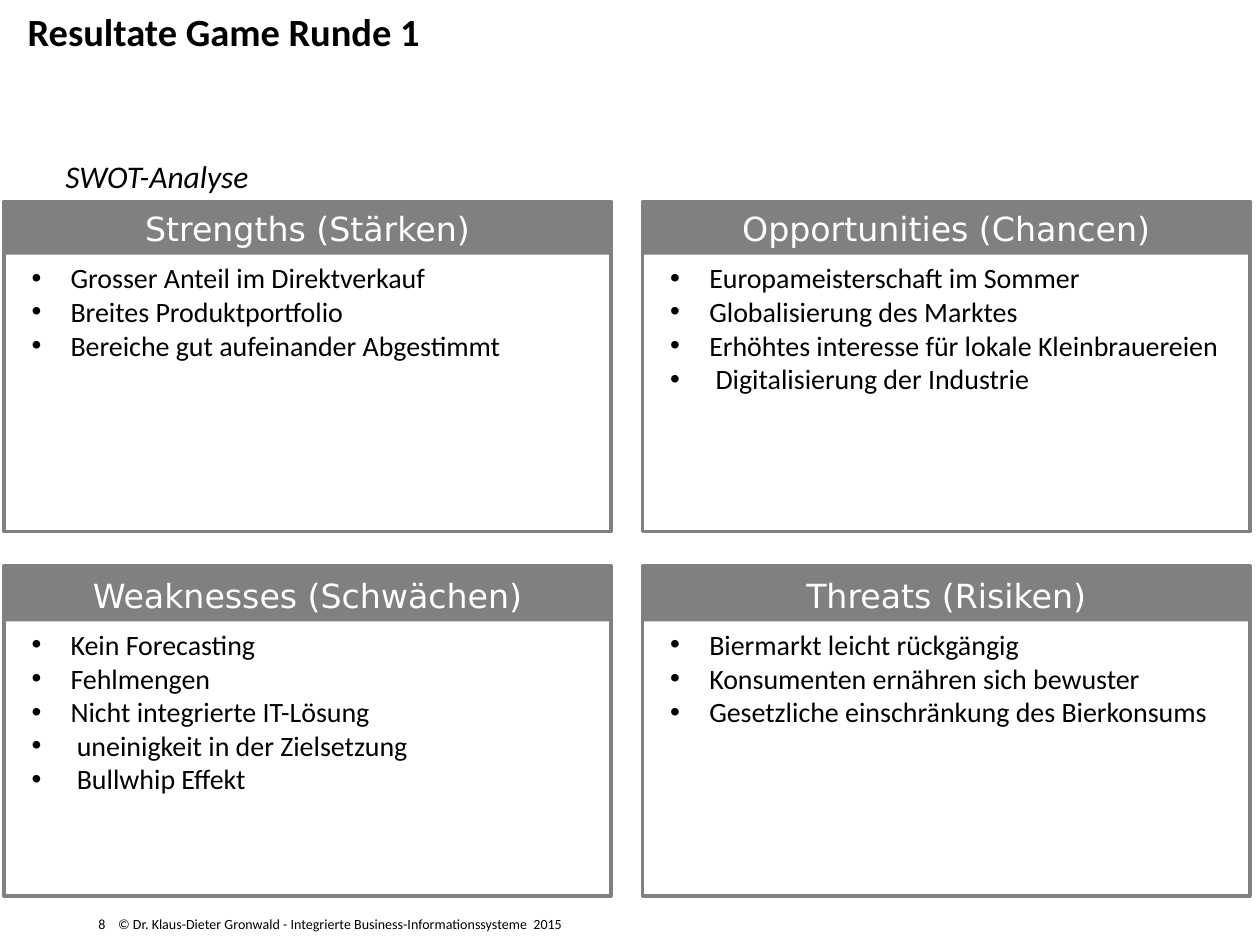
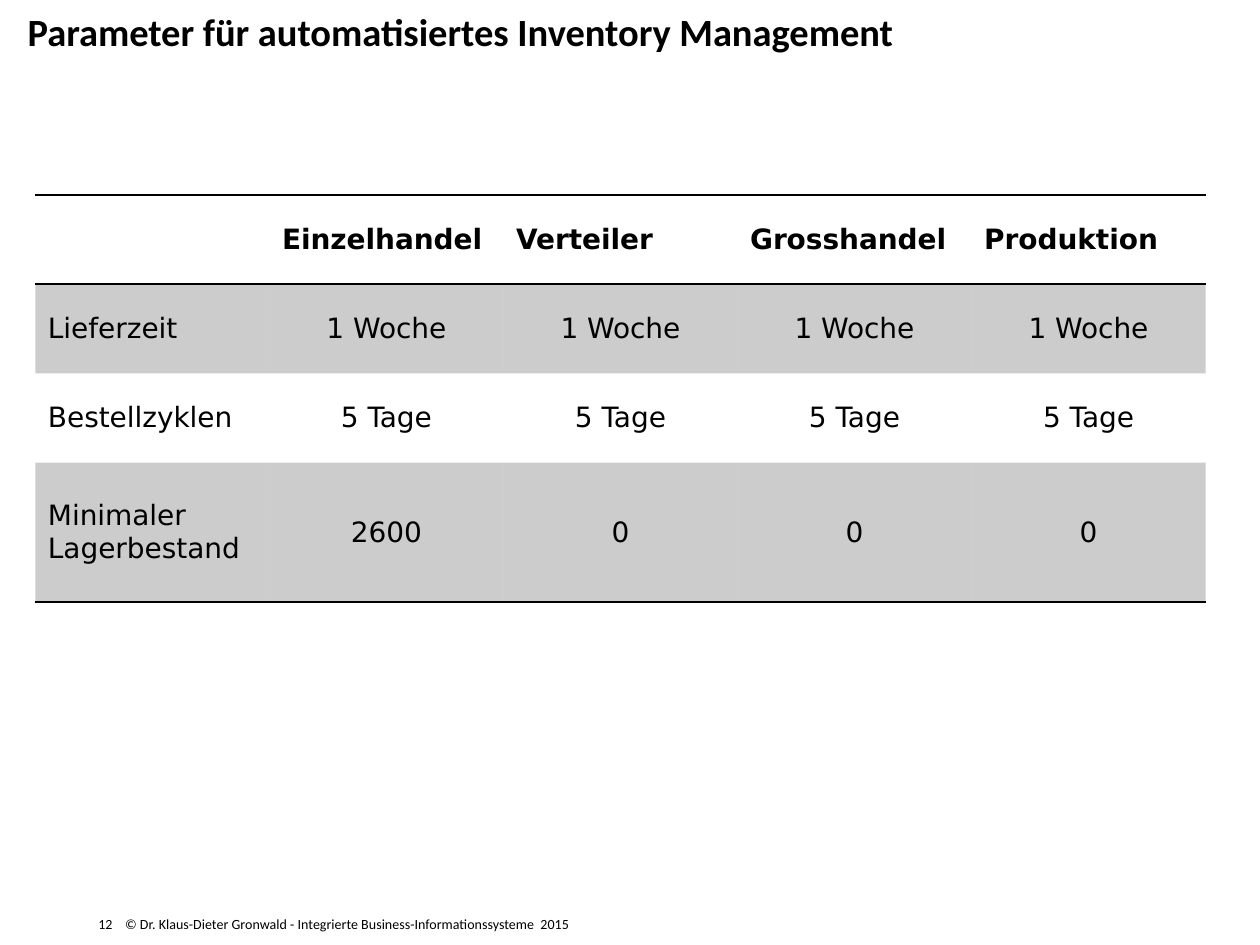
import pptx
import pptx.util
import pptx.dml.color
import pptx.enum.shapes
import pptx.enum.text
import pptx.oxml.ns
import lxml.etree
from dataclasses import dataclass

Pt = pptx.util.Pt
RGB = pptx.dml.color.RGBColor.from_string
qn = pptx.oxml.ns.qn
Align = pptx.enum.text.PP_ALIGN
Anchor = pptx.enum.text.MSO_ANCHOR
RECT = pptx.enum.shapes.MSO_SHAPE.RECTANGLE

CREDIT = "© Dr. Klaus-Dieter Gronwald - Integrierte Business-Informationssysteme  2015"
SWOT = {
    "page": 8,
    "title": "Resultate Game Runde 1",
    "lead": "SWOT-Analyse",
    "parts": [
        ("Strengths (Stärken)", [
            "Grosser Anteil im Direktverkauf",
            "Breites Produktportfolio",
            "Bereiche gut aufeinander Abgestimmt"]),
        ("Opportunities (Chancen)", [
            "Europameisterschaft im Sommer",
            "Globalisierung des Marktes",
            "Erhöhtes interesse für lokale Kleinbrauereien",
            " Digitalisierung der Industrie"]),
        ("Weaknesses (Schwächen)", [
            "Kein Forecasting",
            "Fehlmengen",
            "Nicht integrierte IT-Lösung",
            " uneinigkeit in der Zielsetzung",
            " Bullwhip Effekt"]),
        ("Threats (Risiken)", [
            "Biermarkt leicht rückgängig",
            "Konsumenten ernähren sich bewuster",
            "Gesetzliche einschränkung des Bierkonsums"]),
    ],
}
STOCK = {
    "page": 12,
    "title": "Parameter für automatisiertes Inventory Management",
    "rows": [
        ["", "Einzelhandel", "Verteiler", "Grosshandel", "Produktion"],
        ["Lieferzeit"] + ["1 Woche"] * 4,
        ["Bestellzyklen"] + ["5 Tage"] * 4,
        ["Minimaler Lagerbestand", "2600", "0", "0", "0"],
    ],
    "heights": [51, 51, 51, 79.7],
}


@dataclass(frozen=True)
class Theme:
    ink: str = "000000"
    paper: str = "FFFFFF"
    grey: str = "808080"
    sans: str = "Calibri"
    wide: str = "DejaVu Sans"
    title: int = 22
    head: int = 19
    lead: int = 18
    body: int = 16
    foot: int = 8
    tint: int = 20
    plain: str = "{2D5ABB26-0587-4C30-8999-92F81FD0307C}"


T = Theme()


def style(frame, size, face=T.sans, color=T.ink, bold=False, italic=False, align=Align.LEFT):
    for para in frame.paragraphs:
        para.alignment = align
        for run in para.runs:
            font = run.font
            font.size, font.name = Pt(size), face
            font.bold, font.italic = bold, italic
            font.color.rgb = RGB(color)


def label(slide, box, text, size, **look):
    frame = slide.shapes.add_textbox(*map(Pt, box)).text_frame
    frame.word_wrap = True
    frame.text = text
    style(frame, size, **look)
    return frame


def indent(para, left, first=0):
    props = para._p.get_or_add_pPr()
    props.set("marL", str(Pt(left)))
    props.set("indent", str(Pt(first)))
    return props


def start(deck, page, title):
    slide = deck.slides.add_slide(deck.slide_layouts[5])
    head = slide.shapes.title
    head.left, head.top, head.width, head.height = map(Pt, (8.6, 0.7, 521.3, 68.4))
    frame = head.text_frame
    frame.text = title
    frame.word_wrap = True
    frame.auto_size = pptx.enum.text.MSO_AUTO_SIZE.NONE
    frame.vertical_anchor = Anchor.TOP
    style(frame, T.title, bold=True)

    foot = label(slide, (50.4, 518.4, 383, 21.6), f"{page}\t{CREDIT}", T.foot)
    foot.margin_left = foot.margin_right = foot.margin_top = foot.margin_bottom = Pt(5.8)
    tabs = lxml.etree.SubElement(foot.paragraphs[0]._p.get_or_add_pPr(), qn("a:tabLst"))
    stop = Pt(7.2 + 4.06 * len(str(page)))
    lxml.etree.SubElement(tabs, qn("a:tab"), pos=str(stop), algn="l")
    return slide


def panel(slide, box, fill=None, line=None):
    shape = slide.shapes.add_shape(RECT, *map(Pt, box))
    shape.shadow.inherit = False
    if fill:
        shape.fill.solid()
        shape.fill.fore_color.rgb = RGB(fill)
    else:
        shape.fill.background()
    if line:
        shape.line.color.rgb = RGB(line)
        shape.line.width = Pt(2)
    else:
        shape.line.fill.background()
    return shape


def swot(deck):
    slide = start(deck, SWOT["page"], SWOT["title"])
    lead = label(slide, (2.2, 86.4, 712, 28), SWOT["lead"], T.lead, italic=True).paragraphs[0]
    lead.space_after = Pt(6)
    indent(lead, 28.1)

    wide, high, band = 347, 188.6, 30.4
    for pos, (name, points) in enumerate(SWOT["parts"]):
        row, col = divmod(pos, 2)
        left, top = 2.2 + col * 365, 115.2 + row * 208.1
        bar = top + row * 1.4
        panel(slide, (left, top, wide, high), line=T.grey)
        frame = panel(slide, (left, bar, wide, band), fill=T.grey).text_frame
        frame.text = name
        style(frame, T.head, T.wide, T.paper, align=Align.CENTER)
        box = (left, bar + band, wide, 7.2 + 19.5 * len(points))
        for para in label(slide, box, "\n".join(points), T.body).paragraphs:
            props = indent(para, 31, -22.3)
            lxml.etree.SubElement(props, qn("a:buFont"), typeface="Arial")
            lxml.etree.SubElement(props, qn("a:buChar"), char="•")


def edge(cell, side):
    line = lxml.etree.SubElement(cell._tc.get_or_add_tcPr(), qn("a:" + side), w=str(Pt(1)))
    fill = lxml.etree.SubElement(line, qn("a:solidFill"))
    lxml.etree.SubElement(fill, qn("a:srgbClr"), val=T.ink)


def shade(cell):
    cell.fill.solid()
    cell.fill.fore_color.rgb = RGB(T.ink)
    color = cell._tc.tcPr.find(qn("a:solidFill")).find(qn("a:srgbClr"))
    lxml.etree.SubElement(color, qn("a:alpha"), val=str(T.tint * 1000))


def stock(deck):
    slide = start(deck, STOCK["page"], STOCK["title"])
    rows, highs = STOCK["rows"], STOCK["heights"]
    box = map(Pt, (20.2, 111.4, 668.8, sum(highs)))
    table = slide.shapes.add_table(len(rows), len(rows[0]), *box).table
    table.first_row = table.horz_banding = False
    table._tbl.tblPr.find(qn("a:tableStyleId")).text = T.plain
    for r, (texts, high) in enumerate(zip(rows, highs)):
        table.rows[r].height = Pt(high)
        for c, text in enumerate(texts):
            cell = table.cell(r, c)
            cell.text = text
            cell.vertical_anchor = Anchor.MIDDLE
            align = Align.CENTER if r and c else Align.LEFT
            style(cell.text_frame, T.body, T.wide, bold=r == 0, align=align)
            if r == 0:
                edge(cell, "lnT")
            if r in (0, len(rows) - 1):
                edge(cell, "lnB")
            if r % 2:
                shade(cell)
            else:
                cell.fill.background()


def main():
    deck = pptx.Presentation()
    deck.slide_width, deck.slide_height = Pt(720), Pt(540)
    swot(deck)
    stock(deck)
    deck.save("out.pptx")


if __name__ == "__main__":
    main()
